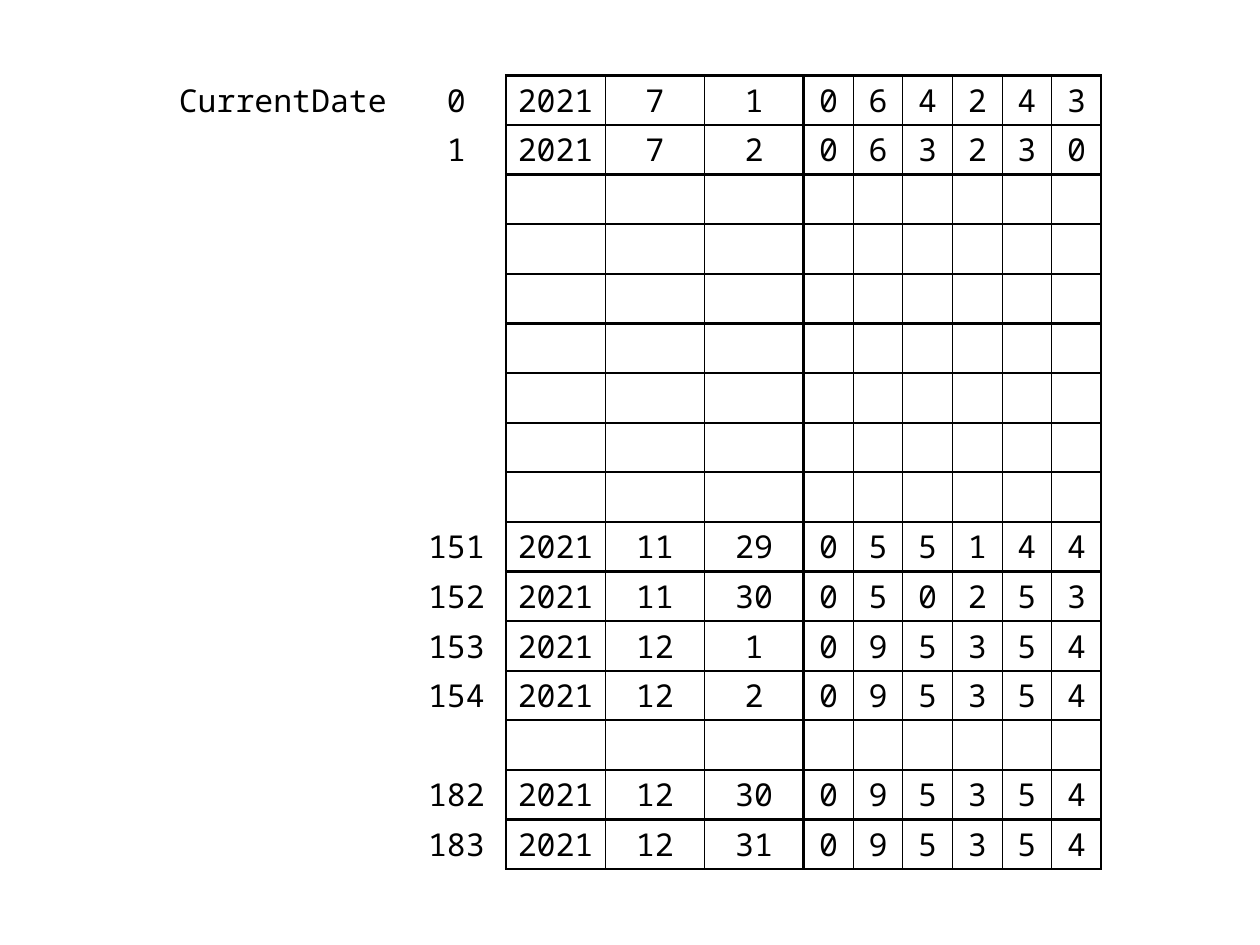
"""Builds a slide with a table of dated records and their row numbers."""
from lxml import etree
from pptx import Presentation
from pptx.dml.color import RGBColor
from pptx.enum.text import MSO_ANCHOR, PP_ALIGN
from pptx.oxml.ns import qn
from pptx.util import Cm, Pt

CENTER = PP_ALIGN.CENTER
MIDDLE = MSO_ANCHOR.MIDDLE
COLORS = {"ink": "000000"}
FONT = "Noto Sans Mono"
PLAIN = "{2D5ABB26-0587-4C30-8999-92F81FD0307C}"
THICK, THIN = 1.5, 0.5
WIDTHS = [5] + [2] * 4 + [1] * 6
GRID = 2
HEAVY = (GRID, 5, len(WIDTHS))
ROWS = 16
RECORDS = {
    0: "0 2021 7 1 0 6 4 2 4 3",
    1: "1 2021 7 2 0 6 3 2 3 0",
    9: "151 2021 11 29 0 5 5 1 4 4",
    10: "152 2021 11 30 0 5 0 2 5 3",
    11: "153 2021 12 1 0 9 5 3 5 4",
    12: "154 2021 12 2 0 9 5 3 5 4",
    14: "182 2021 12 30 0 9 5 3 5 4",
    15: "183 2021 12 31 0 9 5 3 5 4",
}


def add_edge(cell, side, weight):
    props = cell._tc.get_or_add_tcPr()
    line = etree.SubElement(props, qn("a:ln" + side), w=str(Pt(weight)))
    fill = etree.SubElement(line, qn("a:solidFill"))
    etree.SubElement(fill, qn("a:srgbClr"), val=COLORS["ink"])


def edge_weight(index):
    return THICK if index in HEAVY else THIN


def draw_edges(cell, col):
    if col >= GRID:
        add_edge(cell, "L", edge_weight(col))
    if col >= GRID - 1:
        add_edge(cell, "R", edge_weight(col + 1))
    if col >= GRID:
        add_edge(cell, "T", THICK)
        add_edge(cell, "B", THICK)


def fill_cell(cell, text):
    cell.margin_left = cell.margin_right = 0
    cell.margin_top = cell.margin_bottom = 0
    cell.vertical_anchor = MIDDLE
    cell.fill.background()
    cell.text = text
    para = cell.text_frame.paragraphs[0]
    para.alignment = CENTER
    para.font.name = FONT
    para.font.size = Pt(18)
    para.font.color.rgb = RGBColor.from_string(COLORS["ink"])


def add_records(slide):
    frame = slide.shapes.add_table(ROWS, len(WIDTHS), Cm(3.2), Cm(1.52),
                                   Cm(sum(WIDTHS)), Cm(ROWS))
    table = frame.table
    table.first_row = table.horz_banding = False
    table._tbl.tblPr.find(qn("a:tableStyleId")).text = PLAIN
    for column, width in zip(table.columns, WIDTHS):
        column.width = Cm(width)
    for index, row in enumerate(table.rows):
        row.height = Cm(1)
        label = "" if index else "CurrentDate"
        values = RECORDS.get(index, "").split() or [""] * (len(WIDTHS) - 1)
        for col, text in enumerate([label] + values):
            cell = table.cell(index, col)
            draw_edges(cell, col)
            fill_cell(cell, text)


def main():
    deck = Presentation()
    deck.slide_width, deck.slide_height = Cm(25.4), Cm(19.05)
    add_records(deck.slides.add_slide(deck.slide_layouts[6]))
    deck.save("out.pptx")


main()
